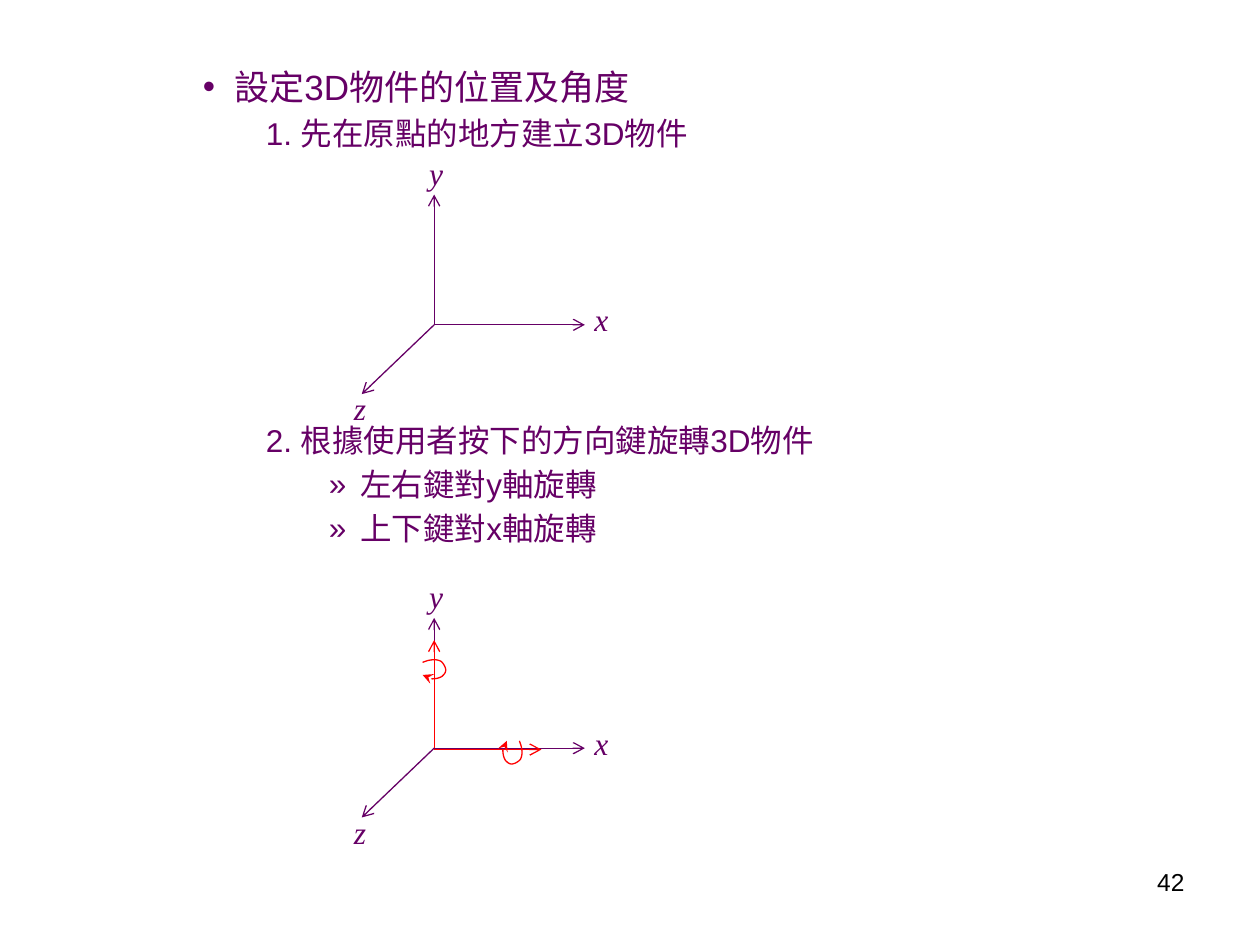
from dataclasses import dataclass
from pptx import Presentation
from pptx.dml.color import RGBColor as Rgb
from pptx.enum.shapes import MSO_CONNECTOR as Conn, MSO_SHAPE as Shape
from pptx.enum.text import MSO_AUTO_SIZE as Fit, MSO_ANCHOR as Anchor, PP_ALIGN as Align
from pptx.oxml.ns import qn
from pptx.util import Inches, Pt
from lxml.etree import SubElement as Sub


@dataclass(frozen=True)
class Theme:
    ink = Rgb(0x66, 0x00, 0x66)
    red = Rgb(0xFF, 0x00, 0x00)
    black = Rgb(0, 0, 0)
    white = Rgb(0xFF, 0xFF, 0xFF)
    sans = "Arial"
    serif = "Times New Roman"
    head = Pt(20)
    text = Pt(18)
    page = Pt(14)
    thin = Pt(0.75)


@dataclass(frozen=True)
class Box:
    """Area in grid cells; the slide has 100 columns and 75 rows."""
    x: float
    y: float
    w: float
    h: float

    def at(self, u, v):
        """Point at shares u, v of the box."""
        return CELL * (self.x + u * self.w), CELL * (self.y + v * self.h)

    def inner(self, u, v, w, h):
        return Box(self.x + u * self.w, self.y + v * self.h, w * self.w, h * self.h)

    def rect(self):
        return [int(n * CELL) for n in (self.x, self.y, self.w, self.h)]


CELL = Inches(0.1)
ROOT = (0.32, 0.64)
TIPS = ((0.84, 0.64), (0.32, 0.17), (0.07, 0.89))
NAMES = (("x", 0.83, 0.53), ("y", 0.26, 0), ("z", 0, 0.85))
# start, then two handles and an end for each arc, as shares of the loop's box
LOOP = ((0, 0.15), (0.16, 0.08), (0.28, 0.03), (0.42, 0.02),
        (0.53, 0), (0.7, 0.03), (0.8, 0.1), (0.9, 0.2), (1, 0.4), (1, 0.55),
        (1, 0.7), (0.9, 0.8), (0.84, 0.87), (0.74, 0.95), (0.58, 1), (0.42, 1),
        (0.3, 1), (0.15, 0.95), (0, 0.8))
GAP = Pt(3.6)
ITEMS = (  # level, left indent, bullet, space before, text
    (2, 1.25, "•", 0, "設定3D物件的位置及角度"),
    (3, 1.75, None, GAP, "1. 先在原點的地方建立3D物件"),
    (3, 1.75, None, Pt(154), "2. 根據使用者按下的方向鍵旋轉3D物件"),
    (4, 2.25, "»", GAP, "左右鍵對y軸旋轉"),
    (4, 2.25, "»", GAP, "上下鍵對x軸旋轉"),
)


def style(obj, **form):
    for key, val in form.items():
        setattr(obj, key, val)


def write(para, text, color, **form):
    run = para.add_run()
    run.text = text
    style(run.font, **form)
    run.font.color.rgb = color


def stroke(shape, color, head):
    shape.line.width = Theme.thin
    shape.line.color.rgb = color
    Sub(shape.line._ln, qn("a:tailEnd"), type=head)


def note(shapes, box, text, color, align=Align.LEFT, **form):
    frame = shapes.add_textbox(*box.rect()).text_frame
    style(frame, word_wrap=True, auto_size=Fit.NONE)
    frame.paragraphs[0].alignment = align
    write(frame.paragraphs[0], text, color, **form)


def arrow(shapes, start, end, color):
    line = shapes.add_connector(Conn.STRAIGHT, *map(int, start + end))
    stroke(line, color, "arrow")
    Sub(line._element.spPr, qn("a:effectLst"))


def bend(a, b, c, d, t):
    """Point at t on a cubic curve."""
    s = 1 - t
    return tuple(s**3 * i + 3 * s * s * t * j + 3 * s * t * t * k + t**3 * m
                 for i, j, k, m in zip(a, b, c, d))


def spin(shapes, box, turn):
    """Open loop with an arrowhead, turned by some degrees."""
    dots = [bend(*LOOP[i:i + 4], n / 8)
            for i in range(0, len(LOOP) - 1, 3) for n in range(1, 9)]
    pen = shapes.build_freeform(*map(int, box.at(*LOOP[0])))
    pen.add_line_segments([tuple(map(int, box.at(*dot))) for dot in dots], close=False)
    loop = pen.convert_to_shape()
    loop.fill.background()
    stroke(loop, Theme.red, "stealth")
    loop.shadow.inherit = False
    loop.rotation = turn


def axes(shapes, box):
    for tip in TIPS:
        arrow(shapes, box.at(*ROOT), box.at(*tip), Theme.ink)
    for name, u, v in NAMES:
        note(shapes, box.inner(u, v, 0.17, 0.15), name, Theme.ink,
             name=Theme.serif, size=Theme.text, italic=True)


def turns(shapes, box):
    """Axes on a white ground, with the spins about y and x in red."""
    back = shapes.add_shape(Shape.RECTANGLE, *box.inner(-0.19, 0.04, 1.29, 1).rect())
    back.fill.solid()
    back.fill.fore_color.rgb = Theme.white
    back.line.fill.background()
    back.shadow.inherit = False
    axes(shapes, box)
    for tip, spot, turn in (((0.32, 0.25), (0.28, 0.32), 0),
                            ((0.69, 0.645), (0.55, 0.62), 90)):
        group = shapes.add_group_shape().shapes
        arrow(group, box.at(ROOT[0], tip[1] if turn else ROOT[1]), box.at(*tip), Theme.red)
        spin(group, box.inner(*spot, 0.08, 0.07), turn)


def steps(body, box):
    style(body, **dict(zip(("left", "top", "width", "height"), box.rect())))
    frame = body.text_frame
    style(frame, word_wrap=True, auto_size=Fit.NONE, vertical_anchor=Anchor.TOP)
    for i, (level, left, mark, gap, text) in enumerate(ITEMS):
        para = frame.add_paragraph() if i else frame.paragraphs[0]
        style(para, level=level, space_before=gap)
        props = para._p.get_or_add_pPr()
        props.set("marL", str(Inches(left)))
        props.set("indent", str(-Inches(0.25)))
        if mark:
            Sub(props, qn("a:buChar"), char=mark)
        else:
            Sub(props, qn("a:buNone"))
        write(para, text, Theme.ink, name=Theme.sans,
              size=Theme.text if i else Theme.head)


def main():
    deck = Presentation()
    style(deck, slide_width=CELL * 100, slide_height=CELL * 75)
    slide = deck.slides.add_slide(deck.slide_layouts[1])
    title = slide.shapes.title._element
    title.getparent().remove(title)
    steps(slide.placeholders[1], Box(5.1, 4.7, 90, 62.6))
    note(slide.shapes, Box(71.7, 68.3, 23.3, 5.2), "42", Theme.black,
         Align.RIGHT, name=Theme.sans, size=Theme.page)
    axes(slide.shapes, Box(27.1, 11.7, 23, 22))
    turns(slide.shapes, Box(27.1, 45.3, 23, 22))
    deck.save("out.pptx")


if __name__ == "__main__":
    main()
